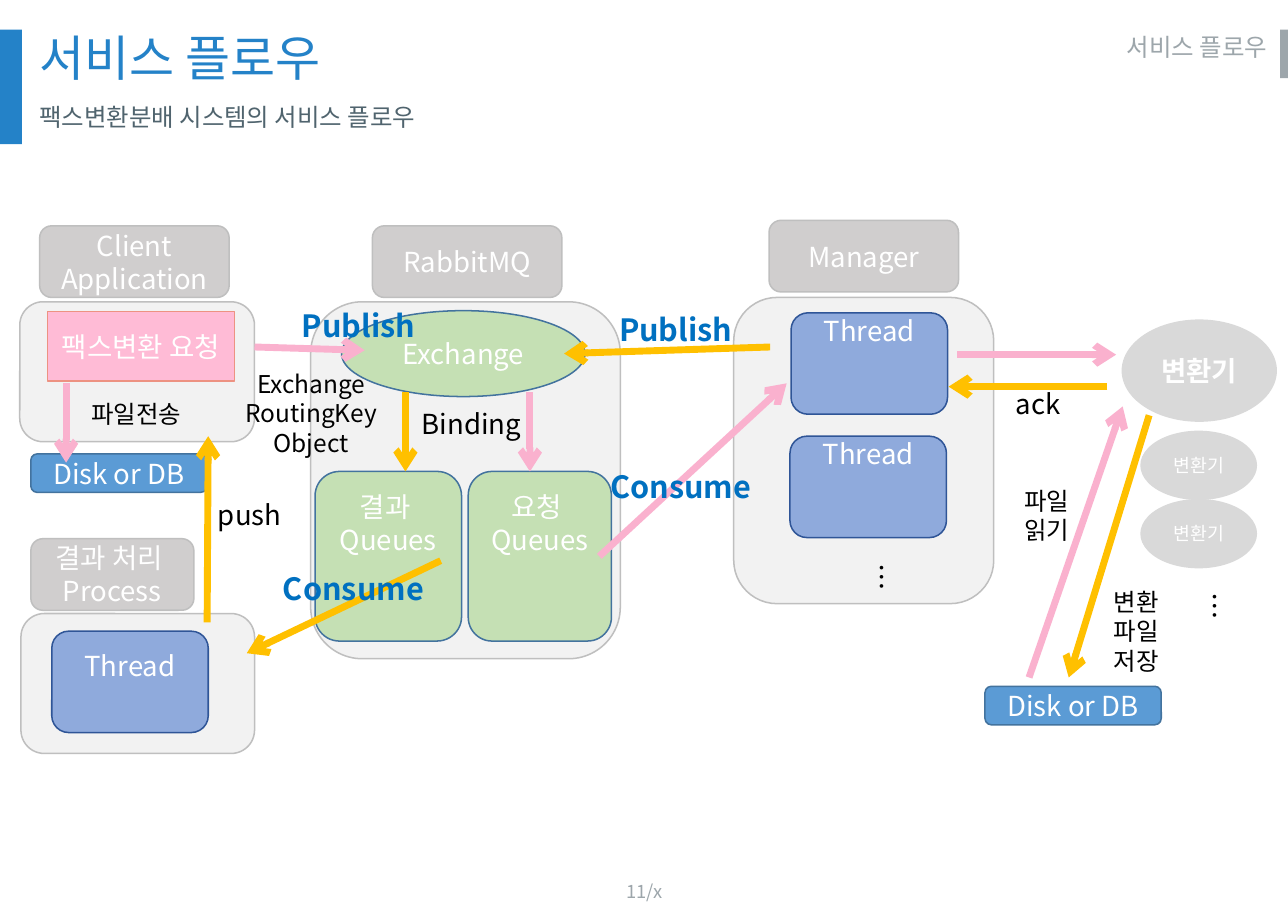
from pptx import Presentation
from pptx.dml.color import RGBColor
from pptx.enum.shapes import MSO_CONNECTOR, MSO_SHAPE
from pptx.enum.text import MSO_ANCHOR, PP_ALIGN
from pptx.oxml.ns import qn
from pptx.util import Pt
from lxml.etree import SubElement

PX = 9144  # 100 px to the inch
FONT = "Noto Sans CJK KR"
WHITE = RGBColor(0xFF, 0xFF, 0xFF)
BLACK = RGBColor(0x00, 0x00, 0x00)
BLUE = RGBColor(0x24, 0x82, 0xC8)
LABEL_BLUE = RGBColor(0x00, 0x70, 0xC0)
SLATE = RGBColor(0x50, 0x64, 0x6E)
MUTED = RGBColor(0x9D, 0xA6, 0xAB)
PANEL = RGBColor(0xF2, 0xF2, 0xF2)
PANEL_LINE = RGBColor(0xBF, 0xBF, 0xBF)
HEADER = RGBColor(0xD0, 0xCE, 0xCE)
REQUEST = RGBColor(0xFF, 0xBB, 0xD6)
REQUEST_LINE = RGBColor(0xED, 0x92, 0x82)
DISK = RGBColor(0x5B, 0x9B, 0xD5)
STEEL = RGBColor(0x43, 0x73, 0x9E)
GREEN = RGBColor(0xC5, 0xE0, 0xB4)
THREAD = RGBColor(0x8F, 0xAA, 0xDC)
THREAD_LINE = RGBColor(0x2F, 0x55, 0x97)
CONVERTER = RGBColor(0xD9, 0xD9, 0xD9)
PINK = RGBColor(0xFA, 0xB1, 0xCE)
AMBER = RGBColor(0xFF, 0xC0, 0x00)
RECT, ROUND, OVAL = MSO_SHAPE.RECTANGLE, MSO_SHAPE.ROUNDED_RECTANGLE, MSO_SHAPE.OVAL
LEFT, CENTER, RIGHT = PP_ALIGN.LEFT, PP_ALIGN.CENTER, PP_ALIGN.RIGHT

prs = Presentation()
prs.slide_width, prs.slide_height = 1169 * PX, 827 * PX
slide = prs.slides.add_slide(prs.slide_layouts[6])


def write(sp, text, size=18, color=BLACK, bold=False, align=LEFT,
          anchor=MSO_ANCHOR.TOP, spacing=1.0, bottom=5):
    tf = sp.text_frame
    tf.word_wrap = True
    tf.vertical_anchor = anchor
    tf.margin_bottom = bottom * PX
    for i, line in enumerate(text.split("\n")):
        p = tf.paragraphs[0] if i == 0 else tf.add_paragraph()
        p.alignment, p.line_spacing = align, spacing
        r = p.add_run()
        r.text = line
        r.font.name, r.font.size, r.font.bold = FONT, Pt(size), bold
        r.font.color.rgb = color
        SubElement(r.font._element, qn("a:ea"), typeface=FONT)


def add_box(kind, box, fill, line=None):
    sp = slide.shapes.add_shape(kind, *(v * PX for v in box))
    sp.shadow.inherit = False
    sp.fill.solid()
    sp.fill.fore_color.rgb = fill
    if line is None:
        sp.line.fill.background()
    else:
        sp.line.color.rgb = line
        sp.line.width = Pt(1)
    return sp


# Side bars of the page frame
add_box(RECT, (0, 27, 20, 104), BLUE)
add_box(RECT, (1162, 27, 7, 44), MUTED)

# Panels behind the components
for box in [(19, 557, 212, 127), (18, 274, 213, 127),
            (282, 274, 281, 324), (666, 270, 236, 278)]:
    add_box(ROUND, box, PANEL, PANEL_LINE)

# Components: a larger bottom inset lifts the text
for kind, box, fill, line, text, bottom in [
    (RECT, (43, 283, 170, 63), REQUEST, REQUEST_LINE, "팩스변환 요청", 5),
    (ROUND, (36, 205, 172, 65), HEADER, PANEL_LINE, "Client Application", 5),
    (ROUND, (338, 205, 172, 65), HEADER, PANEL_LINE, "RabbitMQ", 5),
    (ROUND, (698, 200, 172, 65), HEADER, PANEL_LINE, "Manager", 5),
    (ROUND, (28, 489, 148, 65), HEADER, PANEL_LINE, "결과 처리 \nProcess", 5),
    (ROUND, (28, 412, 160, 35), DISK, STEEL, "Disk or DB", 5),
    (ROUND, (894, 623, 160, 35), DISK, STEEL, "Disk or DB", 5),
    (OVAL, (310, 282, 221, 78), GREEN, STEEL, "Exchange", 5),
    (ROUND, (286, 428, 133, 154), GREEN, STEEL, "결과 \nQueues", 65),
    (ROUND, (425, 428, 130, 154), GREEN, STEEL, "요청 \nQueues", 65),
    (ROUND, (718, 284, 142, 92), THREAD, THREAD_LINE, "Thread", 65),
    (ROUND, (717, 396, 142, 92), THREAD, THREAD_LINE, "Thread", 65),
    (ROUND, (47, 573, 142, 92), THREAD, THREAD_LINE, "Thread", 35),
]:
    write(add_box(kind, box, fill, line), text, color=WHITE, align=CENTER,
          anchor=MSO_ANCHOR.MIDDLE, bottom=bottom)

# Converters
for box, size, bold in [((1018, 290, 141, 93), 18, True),
                        ((1035, 391, 106, 63), 12, False),
                        ((1035, 453, 106, 63), 12, False)]:
    write(add_box(OVAL, box, CONVERTER), "변환기", size=size, color=WHITE,
          bold=bold, align=CENTER, anchor=MSO_ANCHOR.MIDDLE)

# Request arrows in pink, result arrows in amber
arrows = {
    PINK: [(60, 348, 60, 420), (231, 315, 331, 318), (481, 356, 481, 428),
           (544, 505, 714, 348), (869, 322, 1013, 322), (934, 615, 1019, 369)],
    AMBER: [(699, 315, 512, 321), (368, 356, 368, 428), (1005, 351, 861, 351),
            (400, 509, 224, 593), (188, 565, 189, 396), (1043, 377, 970, 615)],
}
for color, routes in arrows.items():
    for route in routes:
        cn = slide.shapes.add_connector(MSO_CONNECTOR.STRAIGHT, *(v * PX for v in route))
        cn.line.color.rgb = color
        cn.line.width = Pt(4.5)
        SubElement(cn.line._get_or_add_ln(), qn("a:tailEnd"), type="arrow")
        SubElement(cn._element.spPr, qn("a:effectLst"))

# Titles, page number and flow labels
flow = dict(size=20, color=LABEL_BLUE, bold=True)
for box, text, fmt in [
    ((912, 27, 248, 44), "서비스 플로우",
     dict(size=16, color=MUTED, align=RIGHT, spacing=0.9)),
    ((26, 26, 870, 70), "서비스 플로우", dict(size=32, color=BLUE, spacing=0.9)),
    ((26, 91, 870, 91), "팩스변환분배 시스템의 서비스 플로우",
     dict(size=16, color=SLATE, spacing=0.9)),
    ((512, 792, 146, 34), "11/x",
     dict(size=12, color=MUTED, align=CENTER, anchor=MSO_ANCHOR.MIDDLE)),
    ((73, 357, 126, 37), "파일전송", dict(size=16)),
    ((373, 365, 137, 40), "Binding", {}),
    ((201, 330, 163, 94), "Exchange\nRoutingKey\nObject", dict(size=16, align=CENTER)),
    ((920, 436, 68, 64), "파일\n읽기", dict(size=16)),
    ((912, 346, 77, 40), "ack", {}),
    ((188, 447, 95, 40), "push", {}),
    ((1001, 528, 68, 91), "변환파일 저장", dict(size=16)),
    ((264, 274, 132, 44), "Publish", flow),
    ((552, 277, 132, 44), "Publish", flow),
    ((544, 420, 164, 44), "Consume", flow),
    ((247, 512, 163, 44), "Consume", flow),
]:
    write(slide.shapes.add_textbox(*(v * PX for v in box)), text, **fmt)

# Vertical ellipses: more threads, more converters
for box in [(773, 478, 24, 71), (1064, 516, 47, 71)]:
    sp = slide.shapes.add_textbox(*(v * PX for v in box))
    sp.rotation = 90
    write(sp, "…")

prs.save("out.pptx")
